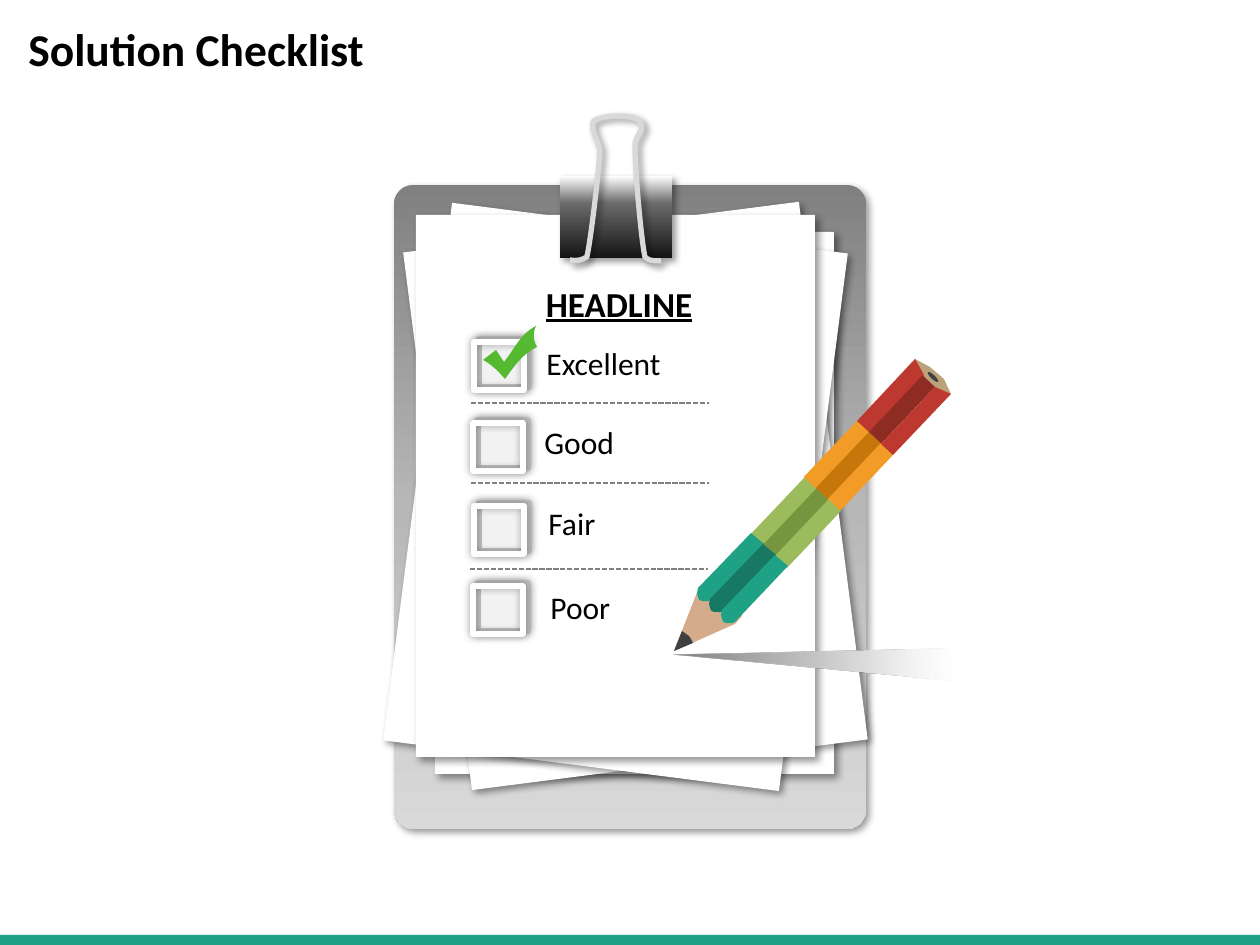
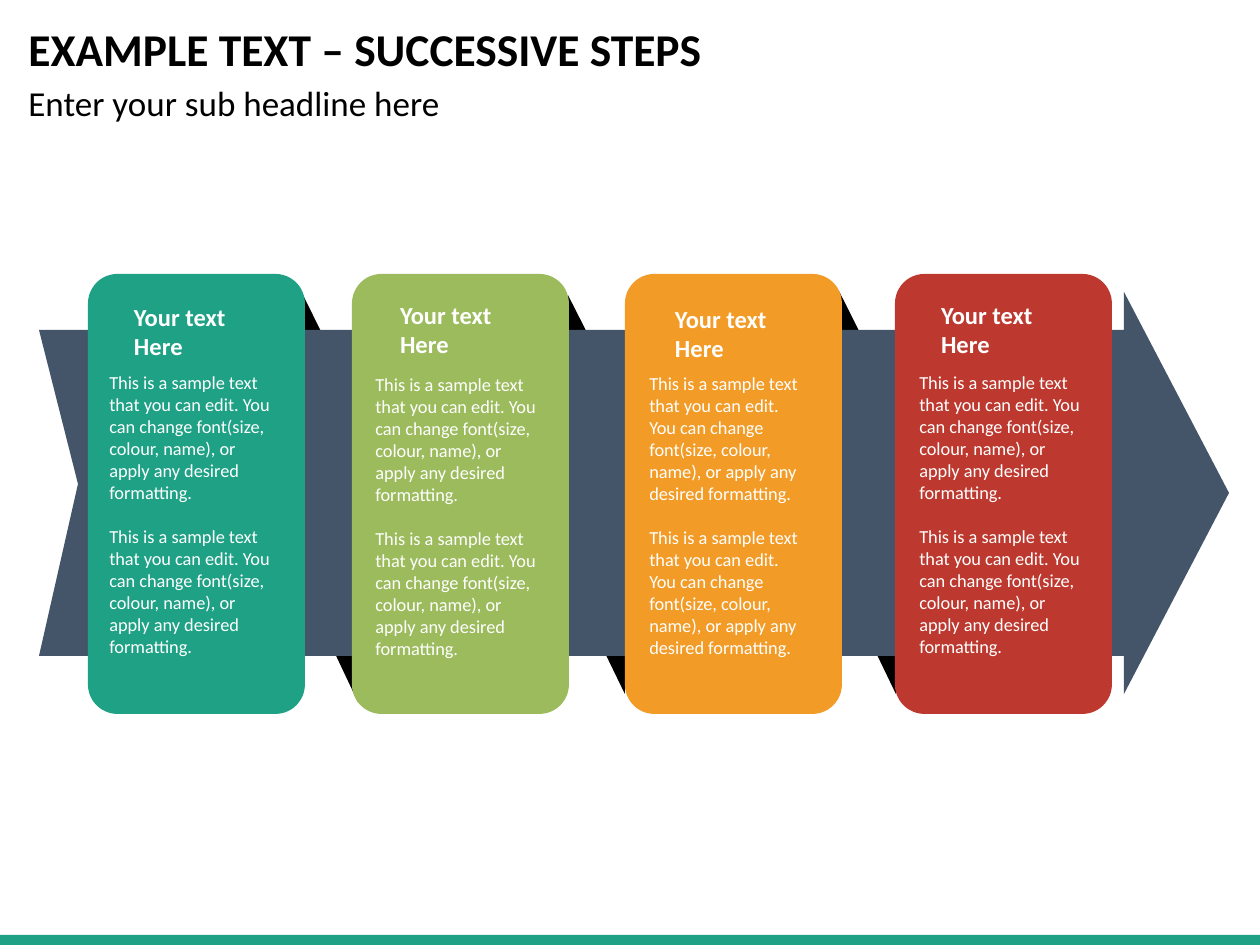
import lxml.etree
import pptx
import pptx.dml.color
import pptx.enum.dml
import pptx.enum.shapes
import pptx.enum.text
import pptx.oxml.ns
import pptx.util

SCALE = 914400 / 126
FONT = "Calibri"
TEAL, GREEN, ORANGE, RED = "1EA185", "9BBB5C", "F29B26", "BD392F"
WHITE, BLACK, MID_GREY, LIGHT_GREY = "FFFFFF", "000000", "808080", "D9D9D9"
PALE_GREY, DARK_GREY = "F2F2F2", "404040"
SOFT_SHADOW = {"blur": 4, "distance": 3, "direction": 45}
GLOW = {"blur": 5, "distance": 0, "direction": 0}
PENCIL_ANGLE = 313.5

colour = pptx.dml.color.RGBColor.from_string
qn = pptx.oxml.ns.qn
preset = pptx.enum.shapes.MSO_SHAPE


def draw(slide, kind, geometry, fill=None, line=None, shadow=None, rotation=0, angle=0, closed=True):
    if kind == "outline":
        steps = [[round(value * SCALE) for value in step] for step in geometry]
        builder = slide.shapes.build_freeform(*steps[0], scale=1.0)
        builder.add_line_segments([step[-2:] for step in steps[1:]], close=closed)
        shape = builder.convert_to_shape()
        segments = list(shape._element.spPr.iter(qn("a:lnTo")))
        for segment, step in zip(segments, steps[1:]):
            if len(step) == 6:
                segment.tag = qn("a:cubicBezTo")
                for index in (0, 1):
                    x, y = step[2 * index:2 * index + 2]
                    control = lxml.etree.Element(qn("a:pt"), x=str(x - shape.left), y=str(y - shape.top))
                    segment.insert(index, control)
    else:
        shape = slide.shapes.add_shape(kind, *[round(value * SCALE) for value in geometry])
    shape.rotation = rotation
    shape.shadow.inherit = False
    properties = shape._element.spPr
    if fill is None:
        shape.fill.background()
    elif isinstance(fill, str):
        shape.fill.solid()
        shape.fill.fore_color.rgb = colour(fill)
    else:
        shape.fill.gradient()
        shape.fill.gradient_angle = (360 - angle) % 360
        stops = properties.find(qn("a:gradFill")).find(qn("a:gsLst"))
        for stop in list(stops):
            stops.remove(stop)
        for position, value, opacity in fill:
            stop = lxml.etree.SubElement(stops, qn("a:gs"), pos=str(position * 1000))
            tint = lxml.etree.SubElement(stop, qn("a:srgbClr"), val=value)
            if opacity < 100:
                lxml.etree.SubElement(tint, qn("a:alpha"), val=str(opacity * 1000))
    if line:
        shape.line.color.rgb = colour(line)
        shape.line.width = pptx.util.Pt(3)
    else:
        shape.line.fill.background()
    if shadow:
        effect = lxml.etree.SubElement(
            properties.find(qn("a:effectLst")), qn("a:outerShdw"),
            blurRad=str(shadow["blur"] * 12700), dist=str(shadow["distance"] * 12700),
            dir=str(shadow["direction"] * 60000), algn="ctr", rotWithShape="0")
        tint = lxml.etree.SubElement(effect, qn("a:srgbClr"), val=BLACK)
        lxml.etree.SubElement(tint, qn("a:alpha"), val="40000")
    return shape


def write(slide, box, lines, size, ink=BLACK, font=None, layout=None, frame=None, gap=0):
    textbox = slide.shapes.add_textbox(*[round(value * SCALE) for value in box])
    text_frame = textbox.text_frame
    for name, value in {"word_wrap": True, **(frame or {})}.items():
        setattr(text_frame, name, value)
    for index, line in enumerate(lines):
        paragraph = text_frame.paragraphs[0] if index == 0 else text_frame.add_paragraph()
        paragraph.add_run().text = line
        for name, value in {"name": FONT, "size": pptx.util.Pt(size), **(font or {})}.items():
            setattr(paragraph.font, name, value)
        paragraph.font.color.rgb = colour(ink)
        for name, value in (layout or {}).items():
            setattr(paragraph, name, value)
        if index and gap:
            paragraph.space_before = pptx.util.Pt(gap)


presentation = pptx.Presentation()
presentation.slide_width = round(1260 * SCALE)
presentation.slide_height = round(945 * SCALE)

for title in ("Solution Checklist", "EXAMPLE TEXT – SUCCESSIVE STEPS"):
    slide = presentation.slides.add_slide(presentation.slide_layouts[6])
    draw(slide, preset.RECTANGLE, (0, 935, 1260, 10), TEAL)
    write(slide, (16, 22, 1086, 60), [title], 26, font={"bold": True}, layout={"line_spacing": 0.9},
          frame={"vertical_anchor": pptx.enum.text.MSO_ANCHOR.MIDDLE})
checklist, steps = presentation.slides

board = draw(checklist, preset.ROUNDED_RECTANGLE, (394, 185, 472, 644),
             [(0, MID_GREY, 100), (50, "B7B7B7", 100), (100, LIGHT_GREY, 100)],
             shadow=SOFT_SHADOW, angle=90)
board.adjustments[0] = 0.04
for left, top, rotation in ((435, 232, 0), (436, 225, 352.7), (416, 226, 7.3), (416, 215, 0)):
    draw(checklist, preset.RECTANGLE, (left, top, 399, 542), WHITE, shadow=SOFT_SHADOW, rotation=rotation)
draw(checklist, preset.RECTANGLE, (560, 176, 112, 82),
     [(0, "151515", 100), (67, "6B6B6B", 100), (100, WHITE, 100)], shadow=SOFT_SHADOW, angle=270)
clip_wire = [
    (570, 260), (576, 261, 580, 261, 587, 257), (591, 239, 599, 171, 600, 150),
    (597, 137, 591, 131, 593, 122), (597, 115, 635, 113, 640, 122),
    (646, 131, 635, 134, 635, 146), (635, 169, 641, 237, 645, 257), (651, 263, 659, 260, 661, 261),
]
draw(checklist, "outline", clip_wire, line=LIGHT_GREY, shadow=SOFT_SHADOW, closed=False)

draw(checklist, "outline", [(954, 649), (672, 655), (953, 680)],
     [(0, MID_GREY, 100), (74, "E5E5E5", 100), (100, PALE_GREY, 0)])
STRIP_X, STRIP_Y = 12, 11
for band, (light, dark) in enumerate([(GREEN, "77943E"), (ORANGE, "C6770C")]):
    for strip, fill in enumerate((light, dark, light)):
        left = 745 + 53 * band + STRIP_X * strip
        top = 503 - 57 * band + STRIP_Y * strip
        draw(checklist, preset.RECTANGLE, (left, top, 78, 17), fill, rotation=PENCIL_ANGLE)
pencil_end = [(917, 375), (915, 359), (930, 367), (944, 379), (951, 394), (935, 393)]
red_upper = [(924, 375), (915, 359), (857, 421), (869, 432)]
red_lower = [(951, 394), (935, 387), (881, 444), (893, 455)]
wood = [(735, 624), (674, 651), (698, 590), (706, 581), (742, 616)]
lead = [(689, 636), (687, 634, 684, 633, 682, 631), (674, 651), (693, 643), (692, 640, 690, 638, 689, 636)]
draw(checklist, "outline", pencil_end, "BBA17C")
draw(checklist, "outline", red_upper, RED)
draw(checklist, preset.RECTANGLE, (863, 401, 78, 17), "8E2B23", rotation=PENCIL_ANGLE)
draw(checklist, "outline", red_lower, RED)
draw(checklist, preset.OVAL, (931, 370, 4, 14), DARK_GREY, rotation=PENCIL_ANGLE)
draw(checklist, "outline", wood, "D4AC8C")
teal_strip = [
    (751, 533), (698, 588), (698, 590, 697, 592, 697, 593), (698, 597),
    (698, 599, 700, 601, 702, 601), (706, 601), (707, 602, 709, 601, 711, 600), (764, 544),
]
for strip, fill in enumerate((TEAL, "177964", TEAL)):
    moved = [tuple(value + strip * (STRIP_Y if i % 2 else STRIP_X) for i, value in enumerate(step))
             for step in teal_strip]
    draw(checklist, "outline", moved, fill)
draw(checklist, "outline", lead, DARK_GREY)

for left, top in ((471, 403), (471, 483), (470, 569)):
    divider = checklist.shapes.add_connector(
        pptx.enum.shapes.MSO_CONNECTOR.STRAIGHT,
        *[round(value * SCALE) for value in (left, top, left + 238, top)])
    divider.line.color.rgb = colour(MID_GREY)
    divider.line.width = pptx.util.Pt(1)
    divider.line.dash_style = pptx.enum.dml.MSO_LINE.SQUARE_DOT
    lxml.etree.SubElement(divider._element.spPr, qn("a:effectLst"))

write(checklist, (447, 276, 344, 55), ["HEADLINE"], 20, font={"bold": True, "underline": True},
      layout={"alignment": pptx.enum.text.PP_ALIGN.CENTER})
ratings = [
    ("Excellent", 534, 338, 479, 339), ("Good", 532, 417, 478, 420),
    ("Fair", 536, 498, 479, 503), ("Poor", 538, 582, 478, 583),
]
for label, left, top, box_left, box_top in ratings:
    write(checklist, (left, top, 232, 50), [label], 18)
    draw(checklist, preset.RECTANGLE, (box_left, box_top, 50, 48), PALE_GREY, "BFBFBF", GLOW)
    draw(checklist, preset.RECTANGLE, (box_left - 5, box_top + 3, 50, 48), None, WHITE, GLOW)
check_mark = [
    (504, 362), (514, 350, 520, 334, 536, 326), (532, 334, 534, 343, 537, 347),
    (523, 353, 513, 368, 505, 379), (499, 372, 491, 364, 483, 360), (496, 350),
]
draw(checklist, "outline", check_mark, "55B931")

write(steps, (16, 80, 696, 81), ["Enter your sub headline here"], 20, layout={"line_spacing": 0.9})
fold_outline = [
    (0, 0), (64, 0.315), (64, 0.626, 57, 0.688, 57, 1), (-14, 0.635), (-14, 0.4, 0, 0.235, 0, 0),
]
for left, top, height in ((839, 291, 403), (301, 291, 411), (568, 295, 399)):
    fold = [tuple(round(top + value * height) if i % 2 else left + value for i, value in enumerate(step))
            for step in fold_outline]
    draw(steps, "outline", fold, BLACK)
arrow = [(39, 330), (1124, 330), (1124, 292), (1229, 493), (1124, 694), (1124, 656), (39, 656), (78, 484)]
draw(steps, "outline", arrow, "445469")

sample = ("This is a sample text that you can edit. You can change font(size, colour, name), "
          "or apply any desired formatting.")
heading_frame = {"word_wrap": False}
for side, inset in (("left", 5), ("right", 5), ("top", 3), ("bottom", 3)):
    heading_frame["margin_" + side] = round(inset * SCALE)
cards = [
    (TEAL, 88, (129, 299), (97, 365, 189)), (GREEN, 352, (395, 297), (363, 367, 192)),
    (ORANGE, 625, (670, 301), (637, 366, 178)), (RED, 895, (936, 297), (907, 365, 188)),
]
for fill, left, heading, body in cards:
    card = draw(steps, preset.ROUNDED_RECTANGLE, (left, 274, 217, 440), fill)
    card.adjustments[0] = 0.136
for fill, left, heading, body in cards:
    write(steps, (*heading, 106, 64), ["Your text", "Here"], 14, WHITE, {"bold": True}, frame=heading_frame)
for fill, left, heading, body in cards:
    write(steps, (*body, 324), [sample, sample], 10.5, WHITE, gap=12.5)

presentation.save("out.pptx")
